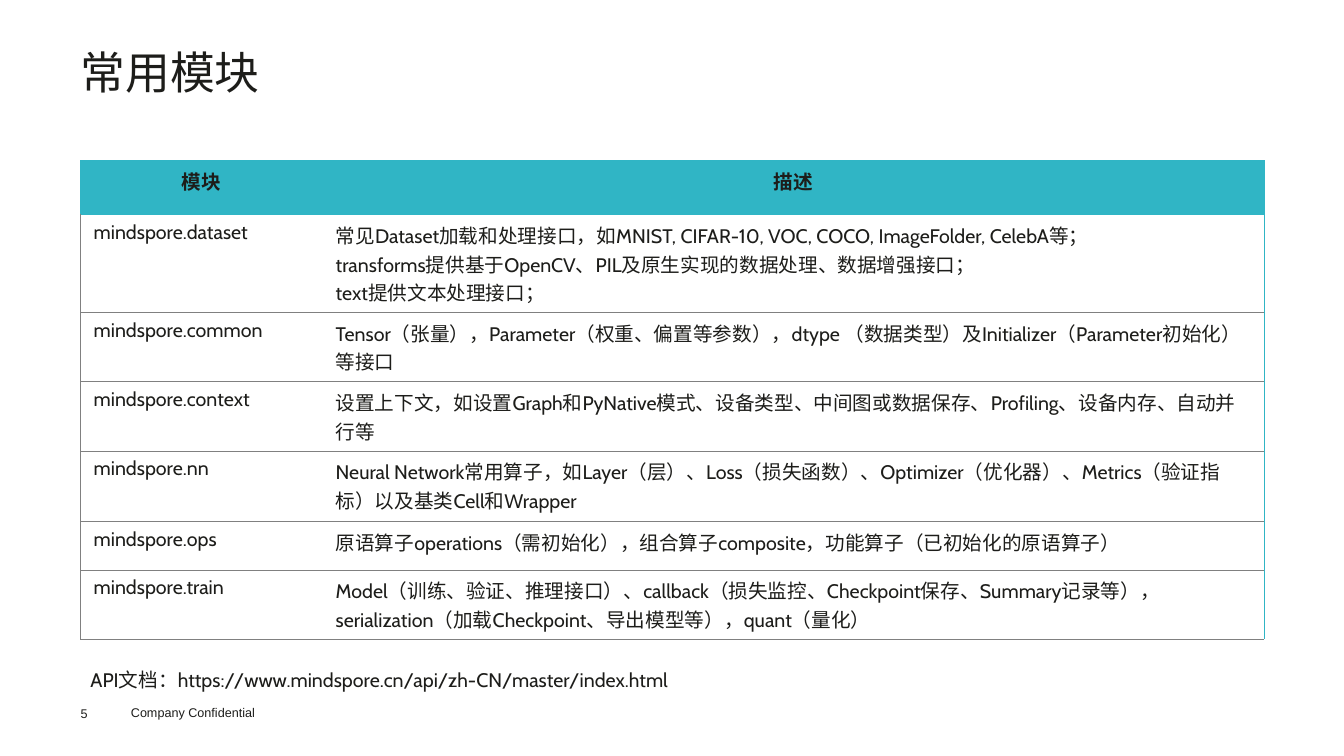
from lxml.etree import SubElement
from pptx import Presentation
from pptx.dml.color import RGBColor
from pptx.enum.text import MSO_AUTO_SIZE as Auto, PP_ALIGN as Align
from pptx.oxml import parse_xml
from pptx.oxml.ns import nsdecls, qn
from pptx.util import Cm, Pt

TEAL, GREY, WHITE = "30B5C5", "808080", "FFFFFF"
INK, FOOT = "1D1D1A", "1D1D1B"
SIDES = ("left", "top", "right", "bottom")

ROWS = [
    ("模块", "描述"),
    ("mindspore.dataset",
     "常见Dataset加载和处理接口，如MNIST, CIFAR-10, VOC, COCO, ImageFolder, CelebA等；\n"
     "transforms提供基于OpenCV、PIL及原生实现的数据处理、数据增强接口；\n"
     "text提供文本处理接口；"),
    ("mindspore.common",
     "Tensor（张量），Parameter（权重、偏置等参数），dtype （数据类型）及Initializer（Parameter初始化）等接口"),
    ("mindspore.context",
     "设置上下文，如设置Graph和PyNative模式、设备类型、中间图或数据保存、Profiling、设备内存、自动并行等"),
    ("mindspore.nn",
     "Neural Network常用算子，如Layer（层）、Loss（损失函数）、Optimizer（优化器）、Metrics（验证指标）以及基类Cell和Wrapper"),
    ("mindspore.ops",
     "原语算子operations（需初始化），组合算子composite，功能算子（已初始化的原语算子）"),
    ("mindspore.train",
     "Model（训练、验证、推理接口）、callback（损失监控、Checkpoint保存、Summary记录等），"
     "serialization（加载Checkpoint、导出模型等），quant（量化）"),
]
HEIGHTS = (1.37, 2.39, 1.75, 1.73, 1.78, 1.22, 1.73)
WIDTHS = (6.1, 23.72)


def color(text):
    return RGBColor.from_string(text)


class Page:
    """Draws elements on one slide in a shared style."""

    def __init__(self, slide):
        self.slide = slide
        self.style = {"name": "Cabin", "size": Pt(14), "bold": False}

    def fill(self, frame, text, align=Align.LEFT, ink=INK, lead=None, **extra):
        """Fill a text frame, one paragraph for each line of text."""
        frame.text = text
        for para in frame.paragraphs:
            para.alignment = align
            para.line_spacing = lead
            font = para.runs[0].font
            for key, value in {**self.style, **extra}.items():
                setattr(font, key, value)
            font.color.rgb = color(ink)

    def text(self, text, box, inset=None, wrap=True, **look):
        frame = self.slide.shapes.add_textbox(*map(Cm, box)).text_frame
        frame.word_wrap = wrap
        frame.auto_size = Auto.NONE
        if inset is not None:
            for side in SIDES:
                setattr(frame, f"margin_{side}", Cm(inset))
        self.fill(frame, text, **look)

    def edge(self, cell, tints):
        """Set borders in the order left, right, top, bottom; None hides one."""
        props = cell._tc.get_or_add_tcPr()
        for spot, (side, tint) in enumerate(zip("LRTB", tints)):
            line = parse_xml(f'<a:ln{side} {nsdecls("a")} w="6350"/>')
            if tint:
                paint = SubElement(line, qn("a:solidFill"))
                SubElement(paint, qn("a:srgbClr"), val=tint)
            else:
                SubElement(line, qn("a:noFill"))
            props.insert(spot, line)

    def table(self, rows, left, top, widths, heights):
        size = left, top, sum(widths), sum(heights)
        grid = self.slide.shapes.add_table(
            len(rows), len(widths), *map(Cm, size)).table
        for col, width in zip(grid.columns, widths):
            col.width = Cm(width)
        for r, (row, height) in enumerate(zip(rows, heights)):
            grid.rows[r].height = Cm(height)
            head = r == 0
            rule = TEAL if head else GREY
            for c, text in enumerate(row):
                cell = grid.cell(r, c)
                for side, gap in zip(SIDES, (0.33, 0.15) * 2):
                    setattr(cell, f"margin_{side}", Cm(gap))
                cell.fill.solid()
                cell.fill.fore_color.rgb = color(TEAL if head else WHITE)
                self.edge(cell, (None if c else rule, TEAL if c else None,
                                 TEAL if r < 2 else GREY, rule))
                self.fill(cell.text_frame, text, bold=head,
                          align=Align.CENTER if head else Align.LEFT)


def main():
    deck = Presentation()
    deck.slide_width, deck.slide_height = Cm(33.87), Cm(19.05)
    page = Page(deck.slides.add_slide(deck.slide_layouts[6]))
    small = {"name": "Arial", "size": Pt(9), "ink": FOOT}
    page.text("Company Confidential", (3.05, 17.65, 4.06, 0.64), **small)
    page.text("5", (2.03, 17.78, 1.4, 0.38), inset=0, **small)
    page.text("常用模块", (2.03, 1.27, 29.82, 2.77), inset=0,
              size=Pt(32), lead=Pt(34.3))
    page.table(ROWS, 2.03, 4.04, WIDTHS, HEIGHTS)
    page.text("API文档：https://www.mindspore.cn/api/zh-CN/master/index.html",
              (2.03, 16.71, 15.54, 0.86), wrap=False)
    deck.save("out.pptx")


if __name__ == "__main__":
    main()
